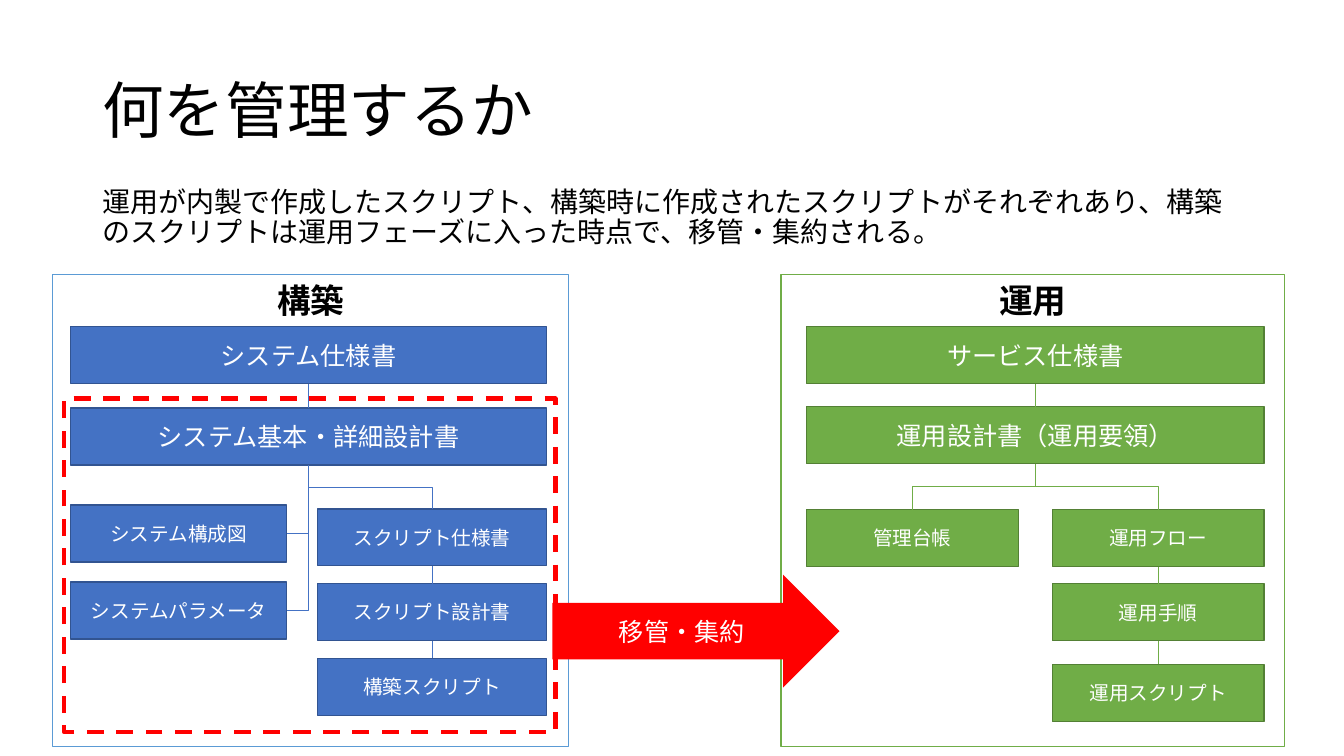
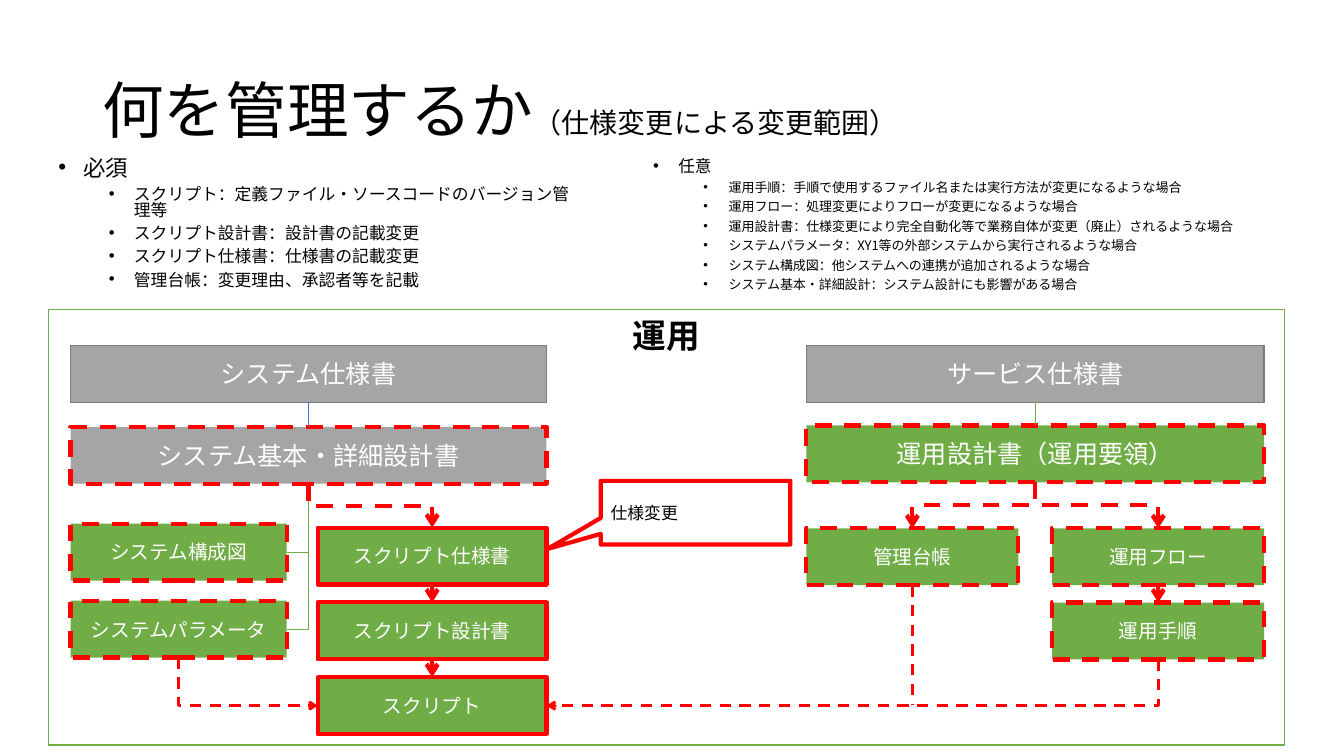
from collections import namedtuple

from lxml import etree
from pptx import Presentation
from pptx import util as u
from pptx.dml.color import RGBColor
from pptx.enum import dml, shapes, text
from pptx.oxml.ns import qn

Pt = u.Pt
BLACK = RGBColor(0x00, 0x00, 0x00)
WHITE = RGBColor(0xFF, 0xFF, 0xFF)
RED = RGBColor(0xFF, 0x00, 0x00)
BLUE = RGBColor(0x44, 0x72, 0xC4)
DARK_BLUE = RGBColor(0x32, 0x54, 0x91)
LIGHT_BLUE = RGBColor(0x5B, 0x9B, 0xD5)
GREEN = RGBColor(0x70, 0xAD, 0x47)
DARK_GREEN = RGBColor(0x53, 0x80, 0x35)
GRAY = RGBColor(0xA5, 0xA5, 0xA5)
DARK_GRAY = RGBColor(0x7A, 0x7A, 0x7A)
FONT = "Noto Sans CJK JP"

Stroke = namedtuple("Stroke", "color width dash arrow", defaults=(False, False))
Node = namedtuple("Node", "label left top width size")

BLUE_LINK = Stroke(BLUE, 0.5)
GREEN_LINK = Stroke(GREEN, 0.5)
GREEN_EDGE = Stroke(GREEN, 1)
REQUIRED = Stroke(RED, 3)
OPTIONAL = Stroke(RED, 3, dash=True)
REQUIRED_FLOW = Stroke(RED, 3, arrow=True)
OPTIONAL_FLOW = Stroke(RED, 3, dash=True, arrow=True)
RETURN_FLOW = Stroke(RED, 2, dash=True, arrow=True)
RETURN_LINE = Stroke(RED, 2, dash=True)

TOP, LEFT, BOTTOM, RIGHT = range(4)
NODE_HEIGHT = 40.65
SPEC_TOP, DESIGN_TOP = 233.3, 291.5
SCRIPT_TOP, SCRIPT_STEP = 363.5, 53.4
CONFIG_TOP, CONFIG_STEP = 360.7, 55
SHIFT = 13.4

BUILD_NODES = {
    "system_spec": Node("システム仕様書", 50.4, SPEC_TOP, 340, 18),
    "system_design": Node("システム基本・詳細設計書", 50.4, DESIGN_TOP, 340, 18),
    "config": Node("システム構成図", 50.4, CONFIG_TOP, 154.4, 14),
    "parameters": Node("システムパラメータ", 50.4, CONFIG_TOP + CONFIG_STEP, 154.4, 14),
    "script_spec": Node("スクリプト仕様書", 227, SCRIPT_TOP, 163.4, 14),
    "script_design": Node("スクリプト設計書", 227, SCRIPT_TOP + SCRIPT_STEP, 163.4, 14),
    "script": Node("構築スクリプト", 227, SCRIPT_TOP + 2 * SCRIPT_STEP, 163.4, 14),
}
OPERATE_NODES = {
    "service_spec": Node("サービス仕様書", 576, SPEC_TOP, 327, 18),
    "operation_design": Node("運用設計書（運用要領）", 576, 290.5, 327, 18),
    "ledger": Node("管理台帳", 576, 364, 151.4, 14),
    "flow": Node("運用フロー", 751.6, 364, 151.4, 14),
    "procedure": Node("運用手順", 751.6, 417, 151.4, 14),
}
OPERATION_SCRIPT = Node("運用スクリプト", 751.6, 474.6, 151.4, 14)

BUILD_SPEC_LINKS = [("system_spec", "system_design", TOP)]
CONFIG_LINKS = [("system_design", "config", RIGHT), ("system_design", "parameters", RIGHT)]
SCRIPT_BRANCH = [("system_design", "script_spec", TOP)]
SCRIPT_CHAIN = [("script_spec", "script_design", TOP), ("script_design", "script", TOP)]
OPERATE_SPEC_LINKS = [("service_spec", "operation_design", TOP)]
OPERATE_BRANCHES = [("operation_design", "flow", TOP), ("operation_design", "ledger", TOP)]
FLOW_CHAIN = [("flow", "procedure", TOP)]


class Deck:
    def __init__(self):
        self.presentation = Presentation()
        self.presentation.slide_width = Pt(960)
        self.presentation.slide_height = Pt(540)
        self.slide = None
        self.nodes = {}

    def new_slide(self, title, subtitle=""):
        self.slide = self.presentation.slides.add_slide(self.presentation.slide_layouts[6])
        self.nodes = {}
        frame = self.text_frame(66, 28.75, 828, 104.4)
        frame.vertical_anchor = text.MSO_ANCHOR.MIDDLE
        heading = frame.paragraphs[0]
        self.set_text(heading, title, 44, spacing=0.9)
        if subtitle:
            run = heading.add_run()
            run.text = subtitle
            run.font.size = Pt(20)

    def text_frame(self, left, top, width, height):
        box = self.slide.shapes.add_textbox(Pt(left), Pt(top), Pt(width), Pt(height))
        box.text_frame.word_wrap = True
        return box.text_frame

    def set_text(self, paragraph, words, size, color=BLACK, bold=False, align=None,
                 spacing=None, before=None):
        paragraph.add_run().text = words
        paragraph.alignment = align
        paragraph.line_spacing = spacing
        if before is not None:
            paragraph.space_before = Pt(before)
        font = paragraph.font
        font.name = FONT
        etree.SubElement(font._rPr, qn("a:ea"), typeface=FONT)
        font.size = Pt(size)
        font.bold = bold
        font.color.rgb = color

    def lead(self, words):
        frame = self.text_frame(66, 131, 828, 54.7)
        self.set_text(frame.paragraphs[0], words, 20, spacing=0.9, before=10)

    def bullets(self, left, width, heading, heading_size, items, item_size):
        frame = self.text_frame(left, 110.2, width, 107.3)
        rows = [(heading, heading_size, 0)] + [(item, item_size, 1) for item in items]
        for index, (words, size, level) in enumerate(rows):
            paragraph = frame.add_paragraph() if index else frame.paragraphs[0]
            paragraph.level = level
            properties = paragraph._p.get_or_add_pPr()
            properties.set("marL", str(Pt(18 + 36 * level)))
            properties.set("indent", str(-Pt(18)))
            etree.SubElement(properties, qn("a:buFont"), typeface="Arial")
            etree.SubElement(properties, qn("a:buChar"), char="•")
            self.set_text(paragraph, words, size, spacing=0.8, before=5 if level else 10)

    def stroke(self, line, style):
        line.color.rgb = style.color
        line.width = Pt(style.width)
        if style.dash:
            line.dash_style = dml.MSO_LINE.DASH
        if style.arrow:
            etree.SubElement(line._get_or_add_ln(), qn("a:tailEnd"), type="arrow")

    def shape(self, left, top, width, height, fill=None, style=None,
              kind=shapes.MSO_SHAPE.RECTANGLE):
        item = self.slide.shapes.add_shape(kind, Pt(left), Pt(top), Pt(width), Pt(height))
        item.shadow.inherit = False
        if fill is None:
            item.fill.background()
        else:
            item.fill.solid()
            item.fill.fore_color.rgb = fill
        if style is None:
            item.line.fill.background()
        else:
            self.stroke(item.line, style)
        return item

    def label(self, item, words, size, color=WHITE, bold=False,
              align=text.PP_ALIGN.CENTER, anchor=text.MSO_ANCHOR.MIDDLE):
        frame = item.text_frame
        frame.word_wrap = True
        frame.vertical_anchor = anchor
        self.set_text(frame.paragraphs[0], words, size, color, bold, align)

    def panel(self, left, top, width, height, words, style):
        area = self.shape(left, top, width, height, WHITE, style)
        self.label(area, words, 24, BLACK, bold=True, anchor=text.MSO_ANCHOR.TOP)

    def node(self, key, node, fill, style, shift=0):
        box = self.shape(node.left, node.top + shift, node.width, NODE_HEIGHT, fill, style)
        self.label(box, node.label, node.size)
        self.nodes[key] = box

    def finish_connector(self, connector, style):
        self.stroke(connector.line, style)
        etree.SubElement(connector._element.spPr, qn("a:effectLst"))

    def links(self, pairs, style):
        for source, target, site in pairs:
            self.link(self.nodes[source], self.nodes[target], site, style)

    def link(self, source, target, site, style):
        center = source.left + source.width // 2
        straight = site == TOP and abs(center - target.left - target.width // 2) < Pt(1)
        kind = shapes.MSO_CONNECTOR.STRAIGHT if straight else shapes.MSO_CONNECTOR.ELBOW
        connector = self.slide.shapes.add_connector(kind, 0, 0, 0, 0)
        connector.begin_connect(source, BOTTOM)
        connector.end_connect(target, site)
        if not straight:
            self.turn_downward(connector, single_bend=site != TOP)
        self.finish_connector(connector, style)

    def turn_downward(self, connector, single_bend):
        x1, y1, x2, y2 = (connector.begin_x, connector.begin_y,
                          connector.end_x, connector.end_y)
        drop, reach = abs(y2 - y1), abs(x2 - x1)
        connector.left = (x1 + x2 - drop) // 2
        connector.top = (y1 + y2 - reach) // 2
        connector.width, connector.height = drop, reach
        properties = connector._element.spPr
        placement = properties.find(qn("a:xfrm"))
        rightward = x2 > x1
        placement.set("rot", str((270 if rightward else 90) * 60000))
        placement.set("flipH", str(int(rightward)))
        placement.set("flipV", "0")
        if single_bend:
            properties.find(qn("a:prstGeom")).set("prst", "bentConnector2")

    def drop_line(self, source, bottom, style):
        center = source.left + source.width // 2
        connector = self.slide.shapes.add_connector(
            shapes.MSO_CONNECTOR.STRAIGHT, center, source.top + source.height,
            center, Pt(bottom))
        self.finish_connector(connector, style)


def managed_items(deck):
    deck.new_slide("何を管理するか")
    deck.lead("運用が内製で作成したスクリプト、構築時に作成されたスクリプトがそれぞれあり、"
              "構築のスクリプトは運用フェーズに入った時点で、移管・集約される。")
    deck.panel(558, 196.2, 359.5, 337, "運用", GREEN_EDGE)
    deck.panel(37.5, 196.2, 368.8, 337, "構築", Stroke(LIGHT_BLUE, 1))
    for key, node in BUILD_NODES.items():
        deck.node(key, node, BLUE, Stroke(DARK_BLUE, 1))
    for key, node in (OPERATE_NODES | {"operation_script": OPERATION_SCRIPT}).items():
        deck.node(key, node, GREEN, Stroke(DARK_GREEN, 1))
    deck.links(BUILD_SPEC_LINKS + CONFIG_LINKS + SCRIPT_BRANCH + SCRIPT_CHAIN, BLUE_LINK)
    deck.links(OPERATE_SPEC_LINKS + OPERATE_BRANCHES + FLOW_CHAIN
               + [("procedure", "operation_script", TOP)], GREEN_LINK)
    deck.shape(45.6, 284.7, 351.2, 238, style=OPTIONAL)
    transfer = deck.shape(394.5, 410.4, 205.2, 80.8, RED,
                          kind=shapes.MSO_SHAPE.RIGHT_ARROW)
    deck.label(transfer, "移管・集約", 18)


def change_scope(deck):
    deck.new_slide("何を管理するか", "（仕様変更による変更範囲）")
    deck.bullets(34.6, 381, "必須", 16, [
        "スクリプト：定義ファイル・ソースコードのバージョン管理等",
        "スクリプト設計書：設計書の記載変更",
        "スクリプト仕様書：仕様書の記載変更",
        "管理台帳：変更理由、承認者等を記載",
    ], 12)
    deck.bullets(459.4, 458, "任意", 11.9, [
        "運用手順：手順で使用するファイル名または実行方法が変更になるような場合",
        "運用フロー：処理変更によりフローが変更になるような場合",
        "運用設計書：仕様変更により完全自動化等で業務自体が変更（廃止）されるような場合",
        "システムパラメータ：XY1等の外部システムから実行されるような場合",
        "システム構成図：他システムへの連携が追加されるような場合",
        "システム基本・詳細設計：システム設計にも影響がある場合",
    ], 9.3)
    deck.panel(34.6, 221.2, 882.9, 311, "運用", GREEN_EDGE)
    unchanged = (GRAY, Stroke(DARK_GRAY, 1))
    required = (GREEN, REQUIRED)
    paints = {
        "system_spec": unchanged, "service_spec": unchanged,
        "system_design": (GRAY, OPTIONAL),
        "script_spec": required, "script_design": required, "script": required,
    }
    script = BUILD_NODES["script"]._replace(label="スクリプト")
    for key, node in (BUILD_NODES | OPERATE_NODES | {"script": script}).items():
        deck.node(key, node, *paints.get(key, (GREEN, OPTIONAL)), shift=SHIFT)
    deck.links(BUILD_SPEC_LINKS, BLUE_LINK)
    deck.links(CONFIG_LINKS + OPERATE_SPEC_LINKS, GREEN_LINK)
    deck.links(SCRIPT_BRANCH + OPERATE_BRANCHES, OPTIONAL_FLOW)
    deck.links(SCRIPT_CHAIN + FLOW_CHAIN, REQUIRED_FLOW)
    deck.links([("procedure", "script", RIGHT), ("parameters", "script", LEFT)], RETURN_FLOW)
    deck.drop_line(deck.nodes["ledger"], 503.5, RETURN_LINE)
    change = deck.shape(429.1, 343.5, 135.4, 45.4, WHITE, REQUIRED,
                        shapes.MSO_SHAPE.RECTANGULAR_CALLOUT)
    change.adjustments[0], change.adjustments[1] = -0.78, 0.57
    deck.label(change, "仕様変更", 12, BLACK, align=text.PP_ALIGN.LEFT)


def main():
    deck = Deck()
    managed_items(deck)
    change_scope(deck)
    deck.presentation.save("out.pptx")


if __name__ == "__main__":
    main()
